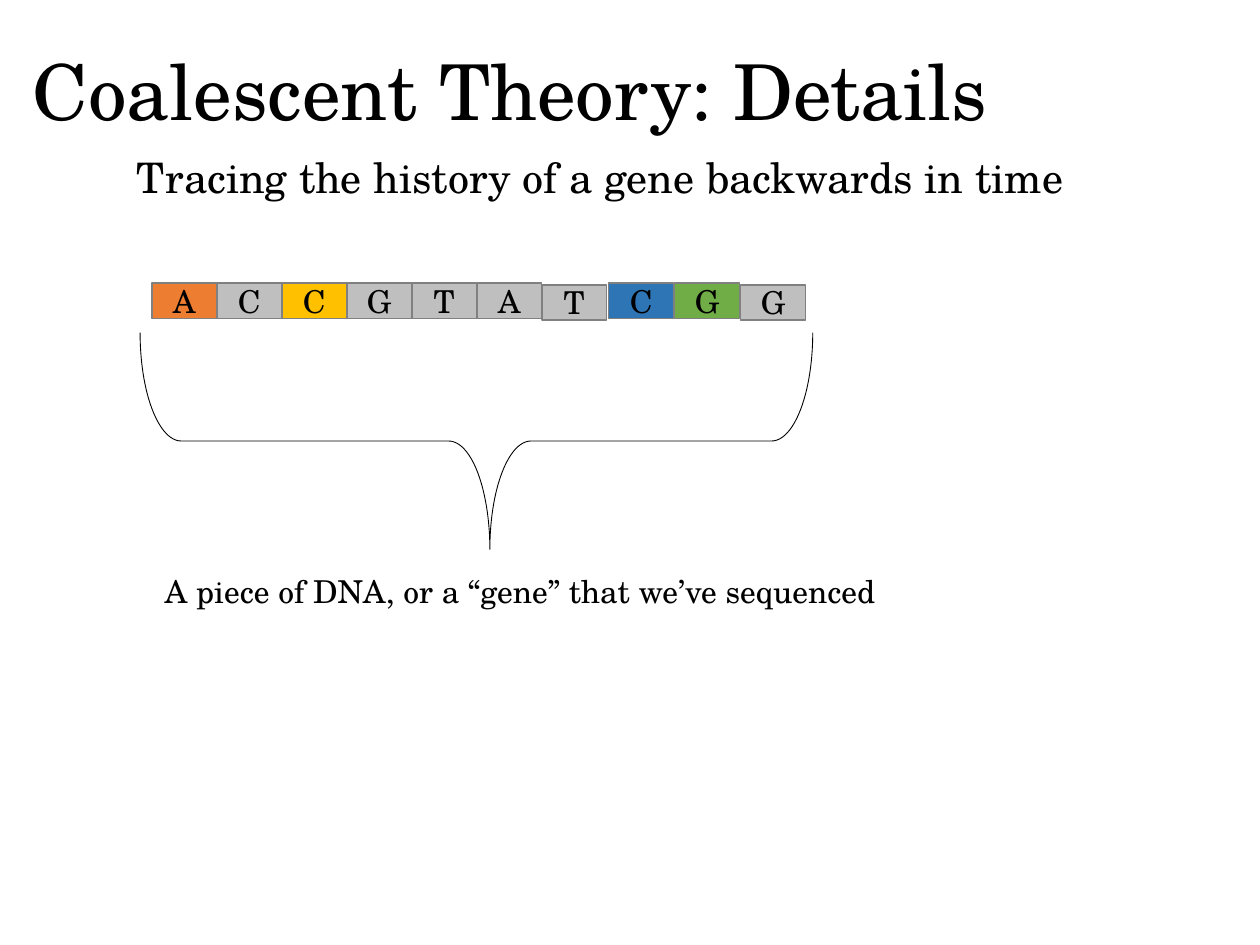
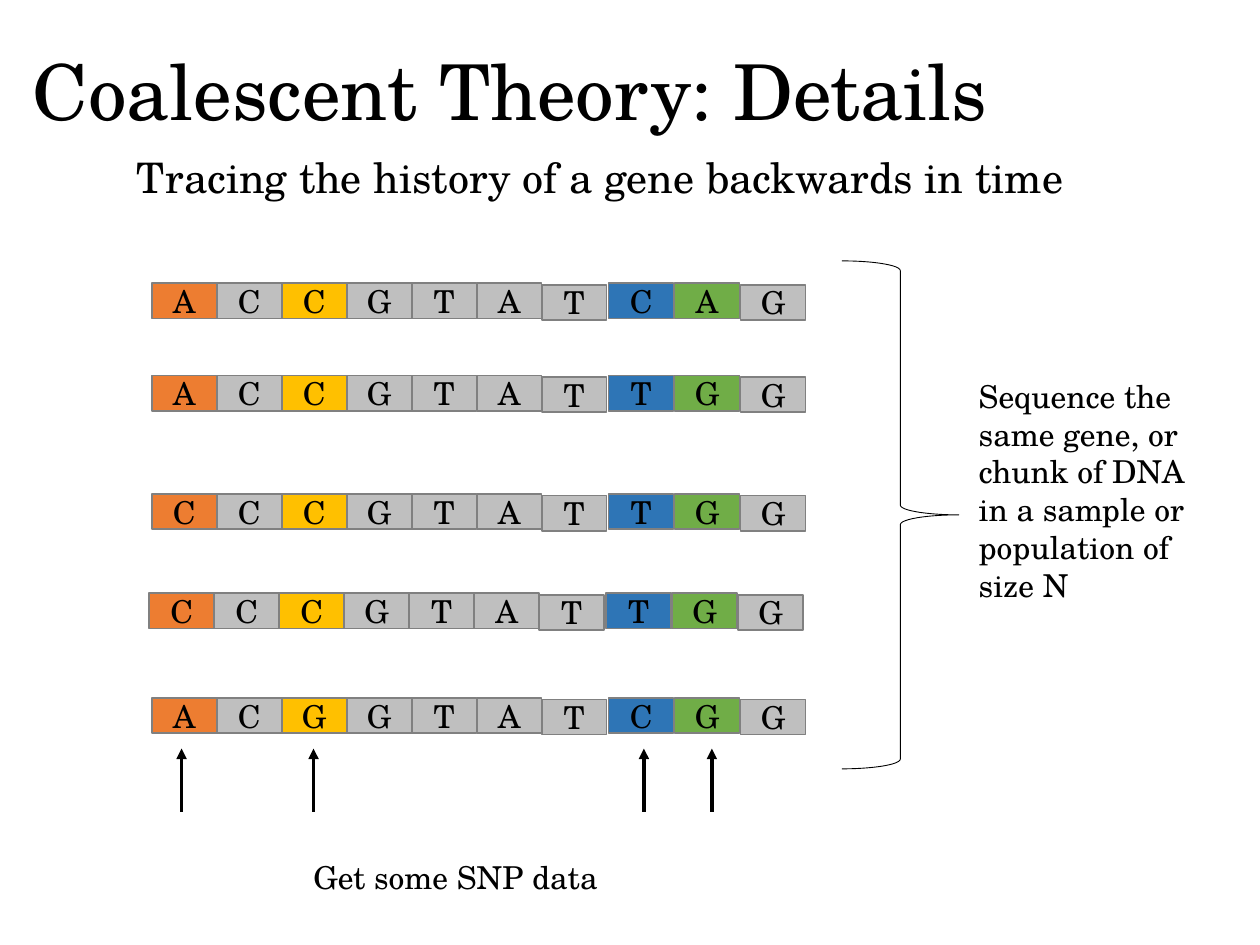
from dataclasses import dataclass

from lxml import etree
from pptx import Presentation
from pptx.dml.color import RGBColor
from pptx.enum.shapes import MSO_CONNECTOR, MSO_SHAPE
from pptx.enum.text import MSO_ANCHOR, MSO_AUTO_SIZE, PP_ALIGN
from pptx.oxml.ns import qn
from pptx.util import Cm, Pt

RECT = MSO_SHAPE.RECTANGLE
LEFT_BRACE, RIGHT_BRACE = MSO_SHAPE.LEFT_BRACE, MSO_SHAPE.RIGHT_BRACE
STRAIGHT = MSO_CONNECTOR.STRAIGHT
LEFT, CENTER = PP_ALIGN.LEFT, PP_ALIGN.CENTER
TOP, MIDDLE = MSO_ANCHOR.TOP, MSO_ANCHOR.MIDDLE
FIT, FIXED = MSO_AUTO_SIZE.SHAPE_TO_FIT_TEXT, MSO_AUTO_SIZE.NONE


@dataclass(frozen=True)
class Theme:
    font: str = "TeX Gyre Schola"
    ink: str = "000000"
    edge: str = "808080"
    plain: str = "BFBFBF"
    orange: str = "ED7D31"
    gold: str = "FFC000"
    blue: str = "2E75B6"
    green: str = "70AD47"
    title: int = 44
    lead: int = 24
    body: int = 18


@dataclass(frozen=True)
class Box:
    """A frame in centimetres."""
    x: float
    y: float
    w: float
    h: float

    def lengths(self) -> tuple:
        return Cm(self.x), Cm(self.y), Cm(self.w), Cm(self.h)


@dataclass(frozen=True)
class Strand:
    """A row of bases and the place of its first cell."""
    bases: str
    y: float
    x: float = 3.06


THEME = Theme()

# Cells: seven at one pitch, then three set slightly wider
CELL_W, CELL_H = 1.31, 0.71
SPLIT, SHIFT, WIDE = 7, 9.21, 1.33
LOW, DROP = (6, 9), 0.03
SITES = {0: THEME.orange, 2: THEME.gold, 7: THEME.blue, 8: THEME.green}

GENE = Strand("ACCGTATCGG", 5.71)
SAMPLE = [
    Strand("ACCGTATCAG", 5.71),
    Strand("ACCGTATTGG", 7.57),
    Strand("CCCGTATTGG", 9.96),
    Strand("CCCGTATTGG", 11.96, 3.01),
    Strand("ACGGTATCGG", 14.07),
]
ARROWS = (3.66, 6.32, 12.98, 14.35)
ARROW_Y = (16.36, 15.09)


def color(code: str) -> RGBColor:
    return RGBColor.from_string(code)


def write(shape, text: str, *, size: int = THEME.body, align=LEFT,
          anchor=TOP, wrap: bool = True, fit=FIXED, space=None) -> None:
    frame = shape.text_frame
    frame.word_wrap = wrap
    frame.auto_size = fit
    frame.vertical_anchor = anchor
    para = frame.paragraphs[0]
    para.alignment = align
    para.line_spacing = space
    run = para.add_run()
    run.text = text
    run.font.name = THEME.font
    run.font.size = Pt(size)
    run.font.color.rgb = color(THEME.ink)


def label(slide, box: Box, text: str, **style) -> None:
    write(slide.shapes.add_textbox(*box.lengths()), text, **style)


def cell(shapes, box: Box, base: str, fill: str) -> None:
    shape = shapes.add_shape(RECT, *box.lengths())
    shape.shadow.inherit = False
    shape.fill.solid()
    shape.fill.fore_color.rgb = color(fill)
    shape.line.color.rgb = color(THEME.edge)
    shape.line.width = Pt(1)
    write(shape, base, align=CENTER, anchor=MIDDLE)


def draw_strand(shapes, strand: Strand) -> None:
    for i, base in enumerate(strand.bases):
        step = i * CELL_W if i < SPLIT else SHIFT + (i - SPLIT) * WIDE
        y = strand.y + (DROP if i in LOW else 0)
        cell(shapes, Box(strand.x + step, y, CELL_W, CELL_H), base,
             SITES.get(i, THEME.plain))


def brace(slide, kind, box: Box, turn: float = 0, bends: tuple = ()) -> None:
    shape = slide.shapes.add_shape(kind, *box.lengths())
    shape.shadow.inherit = False
    shape.fill.background()
    shape.line.color.rgb = color(THEME.ink)
    shape.line.width = Pt(0.5)
    shape.rotation = turn
    for i, bend in enumerate(bends):
        shape.adjustments[i] = bend


def arrow(slide, x: float) -> None:
    start, end = ARROW_Y
    link = slide.shapes.add_connector(STRAIGHT, Cm(x), Cm(start),
                                      Cm(x), Cm(end))
    link.line.color.rgb = color(THEME.ink)
    link.line.width = Pt(2)
    props = link._element.spPr
    etree.SubElement(props.find(qn("a:ln")), qn("a:tailEnd"), type="triangle")
    etree.SubElement(props, qn("a:effectLst"))


def new_slide(deck):
    """Add a blank slide with the shared headings."""
    slide = deck.slides.add_slide(deck.slide_layouts[6])
    label(slide, Box(0.41, 0.41, 21.89, 3.02), "Coalescent Theory: Details",
          size=THEME.title, anchor=MIDDLE, space=0.9)
    label(slide, Box(2.51, 2.92, 19.35, 1.27),
          "Tracing the history of a gene backwards in time",
          size=THEME.lead, wrap=False, fit=FIT)
    return slide


def gene_slide(deck) -> None:
    slide = new_slide(deck)
    draw_strand(slide.shapes, GENE)
    brace(slide, LEFT_BRACE, Box(7.42, 2.11, 4.37, 13.56), 270, (0.19, 0.52))
    label(slide, Box(3.07, 11.4, 15.01, 1.02),
          "A piece of DNA, or a “gene” that we’ve sequenced",
          wrap=False, fit=FIT)


def sample_slide(deck) -> None:
    slide = new_slide(deck)
    for strand in SAMPLE:
        draw_strand(slide.shapes.add_group_shape().shapes, strand)
    brace(slide, RIGHT_BRACE, Box(16.97, 5.26, 2.36, 10.24))
    label(slide, Box(19.48, 7.47, 4.78, 4.88),
          "Sequence the same gene, or chunk of DNA in a sample or "
          "population of size N", fit=FIT)
    # Variable sites
    for x in ARROWS:
        arrow(slide, x)
    label(slide, Box(6.07, 17.17, 7.09, 1.02), "Get some SNP data", fit=FIT)


def main() -> None:
    deck = Presentation()
    deck.slide_width, deck.slide_height = Cm(25.4), Cm(19.05)
    gene_slide(deck)
    sample_slide(deck)
    deck.save("out.pptx")


if __name__ == "__main__":
    main()
